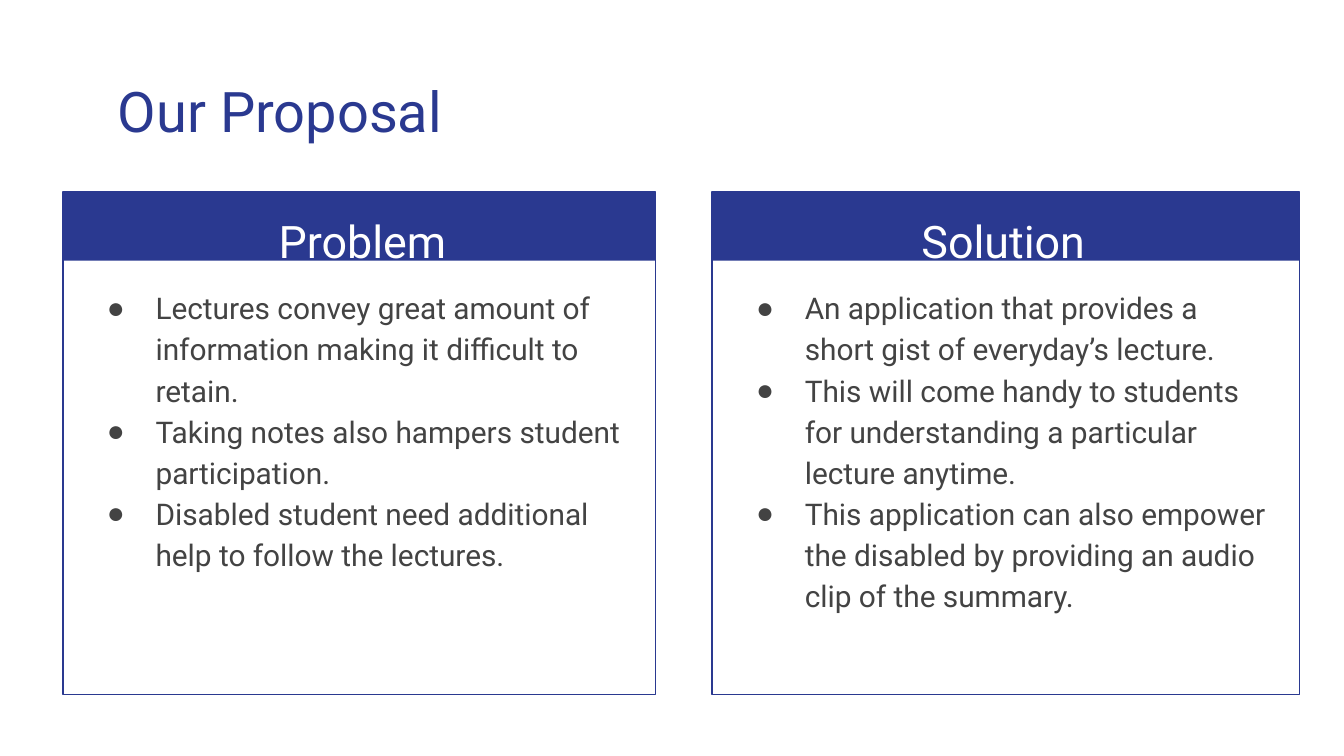
from lxml import etree
from pptx import Presentation
from pptx import util as u
from pptx.dml.color import RGBColor
from pptx.enum import shapes, text
from pptx.oxml import ns

NAVY = RGBColor(0x2A, 0x39, 0x90)
GREY = RGBColor(0x43, 0x43, 0x43)
WHITE = RGBColor(0xFF, 0xFF, 0xFF)

CARD_TOP, CARD_HEIGHT, HEADER_HEIGHT = 3.63, 9.5, 1.3
LIST_TOP, LIST_HEIGHT = 5.13, 7.77

# Each box is (left, width) in centimetres
CARDS = [
    {
        "heading": "Problem",
        "card": (1.19, 11.2), "heading_box": (1.4, 10.9), "list_box": (1.42, 10.9),
        "points": [
            "Lectures convey great amount of information making it difficult to retain.",
            "Taking notes also hampers student participation.",
            "Disabled student need additional help to follow the lectures.",
        ],
    },
    {
        "heading": "Solution",
        "card": (13.46, 11.1), "heading_box": (13.51, 10.9), "list_box": (13.69, 10.64),
        "points": [
            "An application that provides a short gist of everyday’s lecture.",
            "This will come handy to students for understanding a particular lecture anytime.",
            "This application can also empower the disabled by providing an audio clip of the summary.",
        ],
    },
]


class SlideBuilder:
    font_name = "Roboto"
    inset = u.Cm(0.25)

    def __init__(self, page):
        self.page = page

    def fill_placeholder(self, box, lines, place, size, color,
                         align=text.PP_ALIGN.LEFT, spacing=1.0):
        """Move a placeholder and set its text in one plain style."""
        box.left, box.top, box.width, box.height = (u.Cm(length) for length in place)
        frame = box.text_frame
        frame.text = "\n".join(lines)
        frame.word_wrap = True
        frame.auto_size = text.MSO_AUTO_SIZE.NONE
        frame.vertical_anchor = text.MSO_ANCHOR.TOP
        frame.margin_left = frame.margin_right = self.inset
        frame.margin_top = frame.margin_bottom = self.inset
        for para in frame.paragraphs:
            para.alignment = align
            para.line_spacing = spacing
            para.space_before = para.space_after = u.Pt(0)
            para.font.name = self.font_name
            para.font.size = u.Pt(size)
            para.font.bold = False
            para.font.color.rgb = color
        return frame.paragraphs

    def title(self, words, place):
        self.fill_placeholder(self.page.shapes.title, [words], place, 30, NAVY)

    def heading(self, box, words, place):
        self.fill_placeholder(box, [words], place, 24, WHITE,
                              text.PP_ALIGN.CENTER, 1.15)

    def bullets(self, box, points, place):
        for para in self.fill_placeholder(box, points, place, 16, GREY, spacing=1.15):
            props = para._p.get_or_add_pPr()
            props.set("marL", str(u.Cm(1.27)))
            props.set("indent", str(u.Cm(-0.92)))
            # Bullet marks follow the spacing and come before the font defaults
            bullet = etree.Element(ns.qn("a:buChar"), char="●")
            props.find(ns.qn("a:spcAft")).addnext(bullet)

    def rectangle(self, group, left, width, height):
        box = group.shapes.add_shape(shapes.MSO_SHAPE.RECTANGLE, u.Cm(left),
                                     u.Cm(CARD_TOP), u.Cm(width), u.Cm(height))
        box.shadow.inherit = False
        return box

    def card(self, left, width):
        """Outlined frame with a filled header band, behind the text."""
        group = self.page.shapes.add_group_shape()
        band = self.rectangle(group, left, width, HEADER_HEIGHT)
        band.fill.solid()
        band.fill.fore_color.rgb = NAVY
        band.line.fill.background()
        frame = self.rectangle(group, left, width, CARD_HEIGHT)
        frame.fill.background()
        frame.line.color.rgb = NAVY
        frame.line.width = u.Pt(0.75)
        self.page.shapes.title.element.addprevious(group.element)


def main():
    deck = Presentation()
    deck.slide_width, deck.slide_height = u.Cm(25.4), u.Cm(14.29)
    page = deck.slides.add_slide(deck.slide_layouts.get_by_name("Comparison"))
    builder = SlideBuilder(page)

    # Title
    builder.title("Our Proposal", (1.98, 1.19, 20.85, 2.64))

    # Cards: the layout pairs a heading and a list for each side
    _, *boxes = page.placeholders
    for card, heading, listing in zip(CARDS, boxes[::2], boxes[1::2]):
        builder.card(*card["card"])
        left, width = card["heading_box"]
        builder.heading(heading, card["heading"], (left, CARD_TOP, width, 1.6))
        left, width = card["list_box"]
        builder.bullets(listing, card["points"], (left, LIST_TOP, width, LIST_HEIGHT))

    deck.save("out.pptx")


if __name__ == "__main__":
    main()
